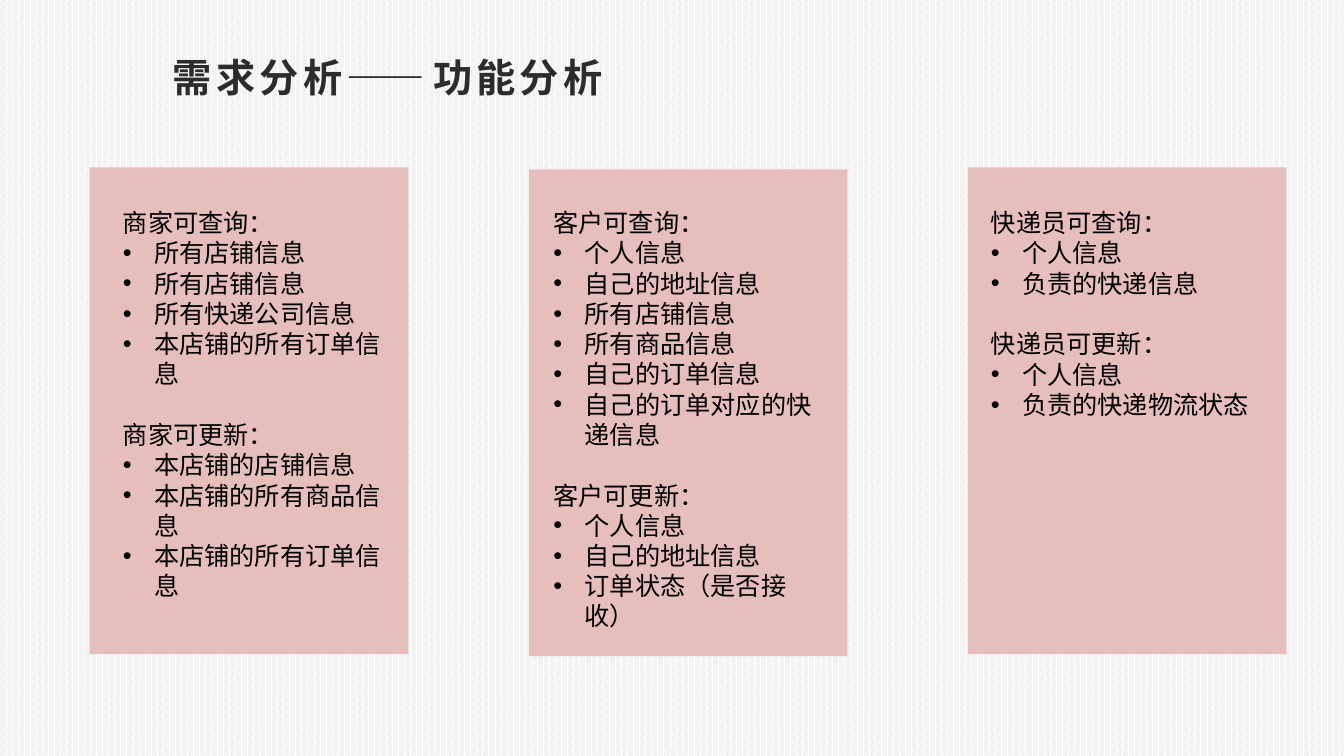
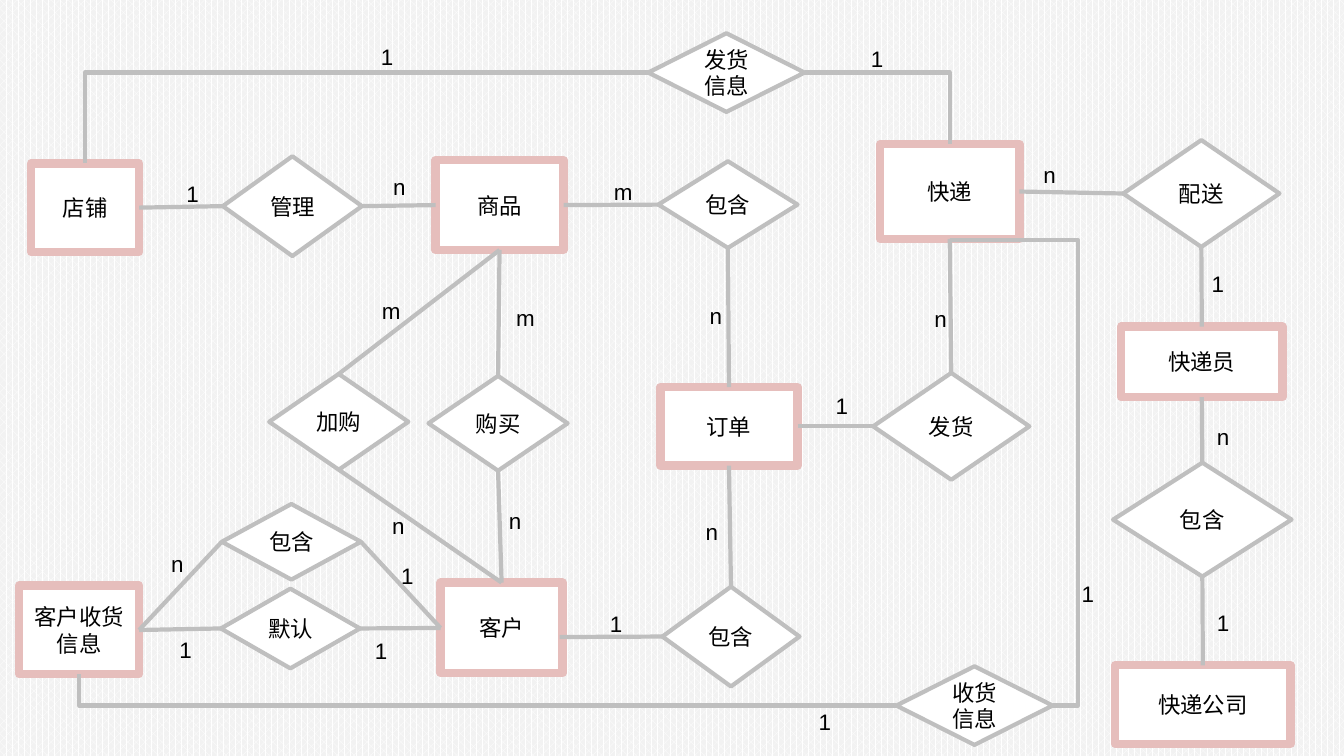
from lxml import etree
from pptx import Presentation
from pptx.dml.color import RGBColor
from pptx.enum.dml import MSO_PATTERN
from pptx.enum.shapes import MSO_CONNECTOR, MSO_SHAPE
from pptx.enum.text import MSO_ANCHOR, PP_ALIGN
from pptx.oxml.ns import qn
from pptx.util import Inches, Pt

STRAIGHT, ELBOW = MSO_CONNECTOR.STRAIGHT, MSO_CONNECTOR.ELBOW
RECT, DIAMOND = MSO_SHAPE.RECTANGLE, MSO_SHAPE.DIAMOND
LEFT, CENTER = PP_ALIGN.LEFT, PP_ALIGN.CENTER
TOP, MIDDLE = MSO_ANCHOR.TOP, MSO_ANCHOR.MIDDLE

FONT = "Arial"
BLACK, WHITE, INK = "000000", "FFFFFF", "2C2C2C"
PINK, GRAY, PAPER = "E6BEBC", "BFBFBF", "F2F2F2"

TITLE = "需求分析——功能分析"
CARD_LEFT, CARD_PITCH, CARD_SIZE = 0.89, 4.355, (3.16, 4.83)
ROLES = [
    {"card_top": 1.66, "text": (1.12, 2.01, 2.77, 4.04), "groups": [
        ("商家可查询：", ["所有店铺信息", "所有店铺信息", "所有快递公司信息", "本店铺的所有订单信息"]),
        ("商家可更新：", ["本店铺的店铺信息", "本店铺的所有商品信息", "本店铺的所有订单信息"])]},
    {"card_top": 1.68, "text": (5.39, 2.01, 2.87, 4.04), "groups": [
        ("客户可查询：", ["个人信息", "自己的地址信息", "所有店铺信息", "所有商品信息",
                    "自己的订单信息", "自己的订单对应的快递信息"]),
        ("客户可更新：", ["个人信息", "自己的地址信息", "订单状态（是否接收）"])]},
    {"card_top": 1.66, "text": (9.73, 2.01, 2.9, 2.22), "groups": [
        ("快递员可查询：", ["个人信息", "负责的快递信息"]),
        ("快递员可更新：", ["个人信息", "负责的快递物流状态"])]},
]

ENTITIES = {
    "shop": ("店铺", 0.31, 1.62, 1.07, 0.88),
    "customer": ("客户", 4.37, 5.78, 1.21, 0.9),
    "goods": ("商品", 4.32, 1.59, 1.27, 0.89),
    "order": ("订单", 6.55, 3.84, 1.36, 0.78),
    "address": ("客户收货信息", 0.19, 5.81, 1.19, 0.88),
    "parcel": ("快递", 8.73, 1.43, 1.38, 0.94),
    "courier": ("快递员", 11.12, 3.24, 1.6, 0.7),
    "carrier": ("快递公司", 11.06, 6.6, 1.74, 0.78),
}
RELATIONS = {
    "manage": ("管理", 2.21, 1.55, 1.38, 0.99),
    "places": ("包含", 6.57, 5.82, 1.36, 0.99),
    "lists": ("包含", 6.53, 1.6, 1.38, 0.86),
    "cart": ("加购", 2.67, 3.71, 1.38, 0.95),
    "buy": ("购买", 4.25, 3.73, 1.38, 0.94),
    "owns": ("包含", 2.2, 5, 1.38, 0.75),
    "default": ("默认", 2.19, 5.84, 1.38, 0.79),
    "ship": ("发货", 8.66, 3.7, 1.55, 1.06),
    "deliver": ("配送", 11.14, 1.39, 1.55, 1.06),
    "employs": ("包含", 11.04, 4.59, 1.77, 1.13),
    "sender": ("发货信息", 6.43, 0.33, 1.55, 0.78),
    "receiver": ("收货信息", 8.89, 6.61, 1.55, 0.78),
}
SITES = {"top": 0, "left": 1, "bottom": 2, "right": 3}
LINKS = [
    ("shop right", "manage left"), ("manage right", "goods left"),
    ((5.55, 6.32), "places left"), ("places top", "order bottom"),
    ("goods bottom", "buy top"), ("lists bottom", "order top"),
    ("cart top", "goods bottom"), ("cart bottom", "customer top"),
    ("customer top", "buy bottom"), ("goods right", "lists left"),
    ("address right", "owns left"), ("address right", "default left"),
    ("default right", "customer left"), ("owns right", "customer left"),
    ("order right", "ship left"), ("parcel bottom", "ship top"),
    ("deliver bottom", "courier top"), ("parcel right", "deliver left"),
    ("carrier top", "employs bottom"), ("employs top", "courier bottom"),
]
BENT_LINKS = [
    ("sender left", "shop top", "bentConnector2", ()),
    ("sender right", "parcel top", "bentConnector2", ()),
    ("receiver left", "address bottom", "bentConnector2", ()),
    ("receiver right", "parcel bottom", "bentConnector4", (-24500, 99800)),
]
CARDINALITIES = {
    "1": [(1.75, 1.74), (5.95, 6), (3.62, 6.27), (1.68, 6.26), (3.88, 5.53),
          (8.19, 3.84), (11.92, 2.63), (11.97, 5.99), (3.68, 0.38), (8.54, 0.4),
          (8.02, 6.98), (10.63, 5.71)],
    "n": [(3.8, 1.67), (6.9, 5.09), (6.94, 2.95), (4.95, 4.98), (3.79, 5.03),
          (1.6, 5.41), (9.17, 2.98), (10.25, 1.55), (11.97, 4.15)],
    "m": [(5.99, 1.72), (3.69, 2.9), (5.02, 2.97)],
}
LABEL_SIZE = (0.6, 0.37)


def color(value):
    return RGBColor.from_string(value)


def style(paragraph, size, ink=BLACK, align=LEFT, bold=False):
    paragraph.alignment = align
    font = paragraph.font
    font.name, font.size, font.bold = FONT, Pt(size), bold
    font.color.rgb = color(ink)


def add_text(slide, box, wrap=True):
    frame = slide.shapes.add_textbox(*map(Inches, box)).text_frame
    frame.word_wrap = wrap
    frame.vertical_anchor = TOP
    return frame


def add_box(slide, kind, box, fill, line=None, weight=0):
    shape = slide.shapes.add_shape(kind, *map(Inches, box))
    shape.shadow.inherit = False
    shape.fill.solid()
    shape.fill.fore_color.rgb = color(fill)
    if line:
        shape.line.color.rgb = color(line)
        shape.line.width = Pt(weight)
    else:
        shape.line.fill.background()
    return shape


def add_bullet(paragraph):
    props = paragraph._p.get_or_add_pPr()
    props.set("marL", str(Inches(0.31)))
    props.set("indent", str(-Inches(0.31)))
    etree.SubElement(props, qn("a:buFont")).set("typeface", FONT)
    etree.SubElement(props, qn("a:buChar")).set("char", "•")


def add_groups(frame, groups):
    paragraph = frame.paragraphs[0]
    for number, (heading, items) in enumerate(groups):
        if number:
            paragraph = frame.add_paragraph()
            paragraph.space_before = Pt(21.7)
        paragraph.text = heading
        style(paragraph, 18)
        for item in items:
            entry = frame.add_paragraph()
            entry.text = item
            add_bullet(entry)
            style(entry, 18)


def add_node(slide, kind, label, box, line, weight):
    node = add_box(slide, kind, box, WHITE, line, weight)
    frame = node.text_frame
    frame.word_wrap = True
    frame.vertical_anchor = MIDDLE
    frame.text = label
    style(frame.paragraphs[0], 16, align=CENTER)
    return node


def add_link(slide, nodes, start, end, kind=STRAIGHT):
    origin = (0, 0) if isinstance(start, str) else start
    link = slide.shapes.add_connector(kind, *map(Inches, origin), 0, 0)
    if isinstance(start, str):
        name, side = start.split()
        link.begin_connect(nodes[name], SITES[side])
    name, side = end.split()
    link.end_connect(nodes[name], SITES[side])
    link.line.color.rgb = color(GRAY)
    link.line.width = Pt(3)
    etree.SubElement(link._element.spPr, qn("a:effectLst"))
    return link


def bend(link, preset, adjustments):
    geometry = link._element.spPr.find(qn("a:prstGeom"))
    geometry.set("prst", preset)
    guides = geometry.find(qn("a:avLst"))
    for number, value in enumerate(adjustments, 1):
        guide = etree.SubElement(guides, qn("a:gd"))
        guide.set("name", f"adj{number}")
        guide.set("fmla", f"val {value}")


def build_functions(slide):
    heading = add_text(slide, (1.57, 0.48, 4.55, 0.57), wrap=False).paragraphs[0]
    run = heading.add_run()
    run.text = TITLE
    run._r.get_or_add_rPr().set("spc", "300")
    style(heading, 28, INK, CENTER, bold=True)
    for column, role in enumerate(ROLES):
        card = (CARD_LEFT + column * CARD_PITCH, role["card_top"], *CARD_SIZE)
        add_box(slide, RECT, card, PINK)
        add_groups(add_text(slide, role["text"]), role["groups"])


def build_diagram(slide):
    nodes = {}
    for group, kind, line, weight in ((ENTITIES, RECT, PINK, 6), (RELATIONS, DIAMOND, GRAY, 3)):
        for name, (label, *box) in group.items():
            nodes[name] = add_node(slide, kind, label, box, line, weight)
    for start, end in LINKS:
        add_link(slide, nodes, start, end)
    for start, end, preset, adjustments in BENT_LINKS:
        bend(add_link(slide, nodes, start, end, ELBOW), preset, adjustments)
    for label, places in CARDINALITIES.items():
        for place in places:
            frame = add_text(slide, (*place, *LABEL_SIZE))
            frame.text = label
            style(frame.paragraphs[0], 16)


def main():
    deck = Presentation()
    deck.slide_width, deck.slide_height = Inches(13.33), Inches(7.5)
    backdrop = deck.slide_master.background.fill
    backdrop.patterned()
    backdrop.pattern = MSO_PATTERN.PERCENT_60
    backdrop.fore_color.rgb = color(WHITE)
    backdrop.back_color.rgb = color(PAPER)
    for build in (build_functions, build_diagram):
        build(deck.slides.add_slide(deck.slide_layouts[6]))
    deck.save("out.pptx")


if __name__ == "__main__":
    main()
